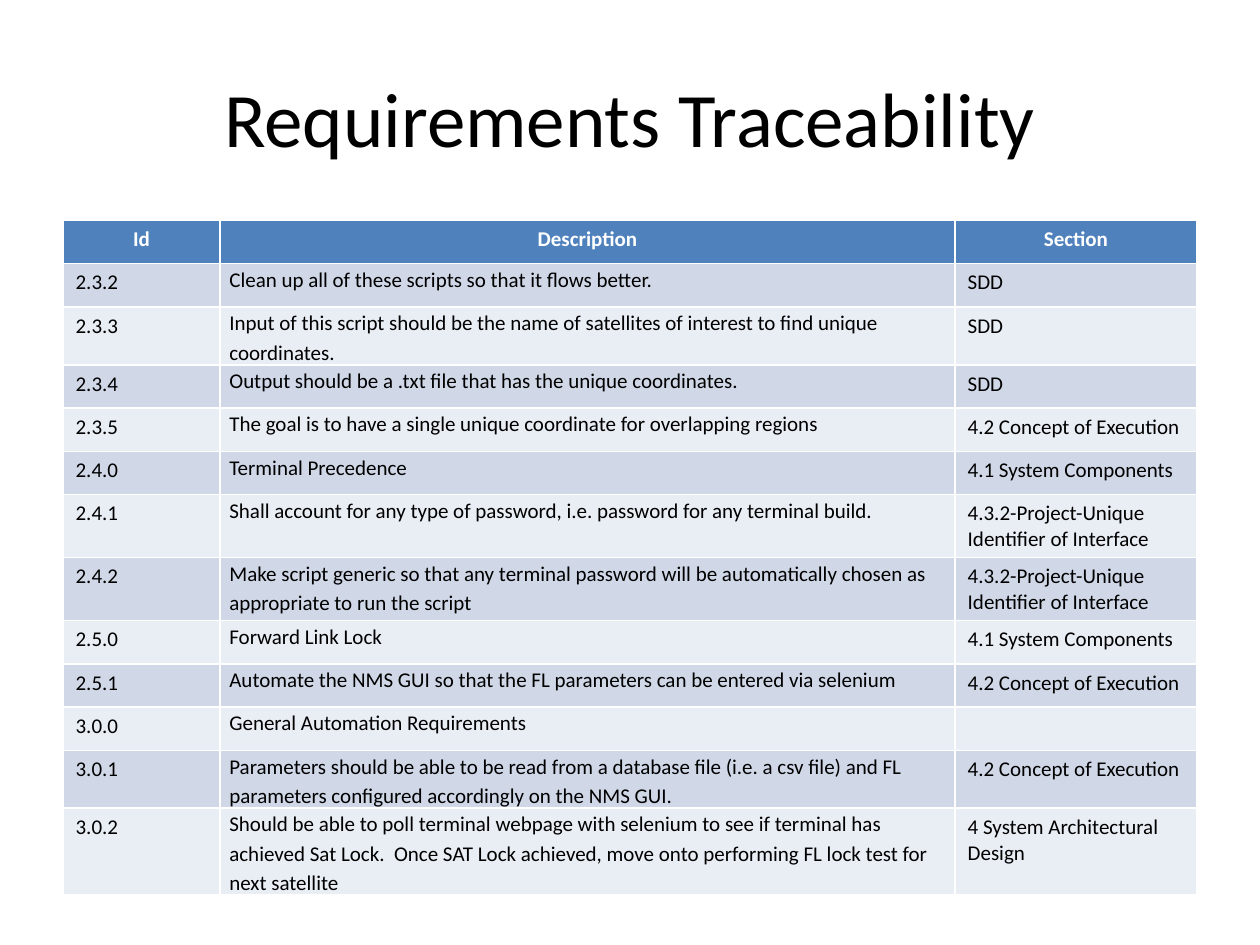
"""Build the requirements traceability slide."""
from typing import NamedTuple

import pptx
import pptx.dml.color
import pptx.enum.text
import pptx.oxml.ns
import pptx.util
from lxml import etree

Pt = pptx.util.Pt
ALIGN = pptx.enum.text.PP_ALIGN
COLORS = {
    "black": "000000",
    "white": "FFFFFF",
    "header": "4F81BD",
    "odd": "D0D8E8",
    "even": "E9EDF4",
}
FONT = "Calibri"
BODY_SIZE = 12
ROW_HEIGHT = 24.7
COLUMN_WIDTHS = (89.7, 420.1, 138.2)


class Requirement(NamedTuple):
    number: str
    description: str
    section: str


HEADER = Requirement("Id", "Description", "Section")
REQUIREMENTS = [
    Requirement("2.3.2", "Clean up all of these scripts so that it flows better.", "SDD"),
    Requirement("2.3.3", "Input of this script should be the name of satellites of interest "
                "to find unique coordinates.", "SDD"),
    Requirement("2.3.4", "Output should be a .txt file that has the unique coordinates.", "SDD"),
    Requirement("2.3.5", "The goal is to have a single unique coordinate for overlapping regions",
                "4.2 Concept of Execution"),
    Requirement("2.4.0", "Terminal Precedence", "4.1 System Components"),
    Requirement("2.4.1", "Shall account for any type of password, i.e. password for any "
                "terminal build.", "4.3.2-Project-Unique Identifier of Interface"),
    Requirement("2.4.2", "Make script generic so that any terminal password will be "
                "automatically chosen as appropriate to run the script",
                "4.3.2-Project-Unique Identifier of Interface"),
    Requirement("2.5.0", "Forward Link Lock", "4.1 System Components"),
    Requirement("2.5.1", "Automate the NMS GUI so that the FL parameters can be entered via "
                "selenium", "4.2 Concept of Execution"),
    Requirement("3.0.0", "General Automation Requirements", ""),
    Requirement("3.0.1", "Parameters should be able to be read from a database file (i.e. a "
                "csv file) and FL parameters configured accordingly on the NMS GUI.",
                "4.2 Concept of Execution"),
    Requirement("3.0.2", "Should be able to poll terminal webpage with selenium to see if "
                "terminal has achieved Sat Lock.  Once SAT Lock achieved, move onto performing "
                "FL lock test for next satellite", "4 System Architectural Design"),
]


def rgb(name: str) -> pptx.dml.color.RGBColor:
    return pptx.dml.color.RGBColor.from_string(COLORS[name])


def style_paragraph(paragraph, size: float, color: str, bold: bool = False) -> None:
    paragraph.font.name = FONT
    paragraph.font.size = Pt(size)
    paragraph.font.bold = bold
    paragraph.font.color.rgb = rgb(color)


def add_title(slide, text: str) -> None:
    shape = slide.shapes.add_textbox(Pt(36), Pt(21.6), Pt(648), Pt(90))
    frame = shape.text_frame
    frame.word_wrap = True
    frame.vertical_anchor = pptx.enum.text.MSO_ANCHOR.MIDDLE
    paragraph = frame.paragraphs[0]
    paragraph.text = text
    paragraph.alignment = ALIGN.CENTER
    style_paragraph(paragraph, 44, "black")


def fill_cell(cell, text: str, fill: str, is_header: bool, is_description: bool) -> None:
    cell.fill.solid()
    cell.fill.fore_color.rgb = rgb(fill)
    paragraph = cell.text_frame.paragraphs[0]
    paragraph.text = text
    if is_header:
        paragraph.alignment = ALIGN.CENTER
    elif is_description:
        cell.margin_left = cell.margin_right = Pt(5.4)
        cell.margin_top = cell.margin_bottom = Pt(0)
        paragraph.line_spacing = 1.15
    style_paragraph(paragraph, BODY_SIZE, "white" if is_header else "black", is_header)
    if not text:
        end = etree.SubElement(paragraph._p, pptx.oxml.ns.qn("a:endParaRPr"))
        end.set("sz", str(BODY_SIZE * 100))


def add_requirements_table(slide, rows: list[Requirement]) -> None:
    frame = slide.shapes.add_table(len(rows), len(COLUMN_WIDTHS), Pt(36), Pt(126),
                                   Pt(sum(COLUMN_WIDTHS)), Pt(ROW_HEIGHT * len(rows)))
    table = frame.table
    for column, width in zip(table.columns, COLUMN_WIDTHS):
        column.width = Pt(width)
    for row_index, requirement in enumerate(rows):
        table.rows[row_index].height = Pt(ROW_HEIGHT)
        is_header = row_index == 0
        fill = "header" if is_header else ("even", "odd")[row_index % 2]
        for column_index, text in enumerate(requirement):
            fill_cell(table.cell(row_index, column_index), text, fill, is_header,
                      column_index == 1)


def main() -> None:
    presentation = pptx.Presentation()
    presentation.slide_width = Pt(720)
    presentation.slide_height = Pt(540)
    slide = presentation.slides.add_slide(presentation.slide_layouts[6])
    add_title(slide, "Requirements Traceability")
    add_requirements_table(slide, [HEADER, *REQUIREMENTS])
    presentation.save("out.pptx")


if __name__ == "__main__":
    main()
